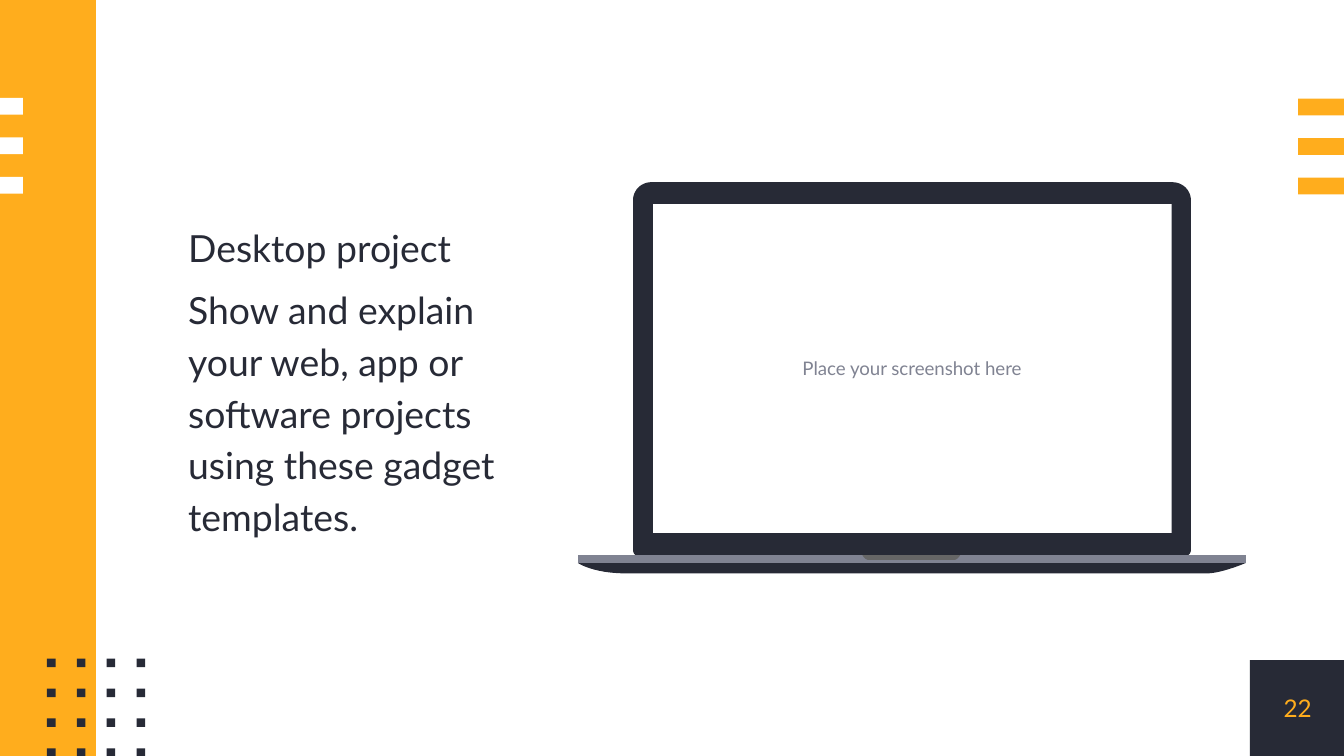
from typing import NamedTuple

from pptx import Presentation
from pptx import util as u
from pptx.dml.color import RGBColor
from pptx.enum import shapes, text

Pt = u.Pt
DARK, AMBER, WHITE, GREY, NOTCH = "272A36", "FFAD1D", "FFFFFF", "808392", "666666"


class Box(NamedTuple):
    x: float
    y: float
    w: float
    h: float


class Grid(NamedTuple):
    first: Box
    cols: int
    rows: int
    step: float
    color: str


class Outline(NamedTuple):
    """Contours of points: 2 numbers end a line, 6 numbers are a Bézier curve."""
    contours: list
    color: str


class Label(NamedTuple):
    box: Box
    lines: list
    size: float
    color: str
    inset: float = 0
    align: text.PP_ALIGN = text.PP_ALIGN.LEFT
    spacing: dict = {}


def rgb(color: str) -> RGBColor:
    return RGBColor.from_string(color)


def paint(sp, color: str) -> None:
    sp.shadow.inherit = False
    sp.fill.solid()
    sp.fill.fore_color.rgb = rgb(color)
    sp.line.fill.background()


def draw_rect(s, box: Box, color: str) -> None:
    sp = s.shapes.add_shape(shapes.MSO_SHAPE.RECTANGLE, *map(Pt, box))
    paint(sp, color)


def draw_grid(s, grid: Grid) -> None:
    x, y, w, h = grid.first
    for row in range(grid.rows):
        for col in range(grid.cols):
            box = Box(x + col * grid.step, y + row * grid.step, w, h)
            draw_rect(s, box, grid.color)


def flatten(contour: list, steps: int = 12) -> list:
    points = []
    for seg in contour:
        if len(seg) == 2:
            points.append(seg)
            continue
        ctrl = [points[-1], seg[:2], seg[2:4], seg[4:]]
        for i in range(1, steps + 1):
            t = i / steps
            weights = ((1 - t) ** 3, 3 * t * (1 - t) ** 2, 3 * t * t * (1 - t), t ** 3)
            points.append(tuple(sum(k * c[axis] for k, c in zip(weights, ctrl))
                                for axis in (0, 1)))
    return [(Pt(x), Pt(y)) for x, y in points]


def draw_outline(s, outline: Outline) -> None:
    first, *others = map(flatten, outline.contours)
    builder = s.shapes.build_freeform(*first[0])
    builder.add_line_segments(first[1:], close=True)
    for points in others:
        builder.move_to(*points[0])
        builder.add_line_segments(points[1:], close=True)
    paint(builder.convert_to_shape(), outline.color)


def draw_label(s, label: Label) -> None:
    tf = s.shapes.add_textbox(*map(Pt, label.box)).text_frame
    frame_format = {"word_wrap": True, "vertical_anchor": text.MSO_ANCHOR.MIDDLE}
    for side in ("left", "top", "right", "bottom"):
        frame_format[f"margin_{side}"] = Pt(label.inset)
    for name, value in frame_format.items():
        setattr(tf, name, value)
    for i, line in enumerate(label.lines):
        p = tf.add_paragraph() if i else tf.paragraphs[0]
        for name, value in {"alignment": label.align, **label.spacing}.items():
            setattr(p, name, value)
        r = p.add_run()
        r.text = line
        for name, value in {"name": "Lato", "size": Pt(label.size)}.items():
            setattr(r.font, name, value)
        r.font.color.rgb = rgb(label.color)


PAGE_CORNER = Box(669.6, 353.6, 51, 51.4)
SIDE_BAR = Box(0, 0, 51.4, 405)

GRIDS = [
    Grid(Box(0, 52.4, 12.3, 9), 1, 3, 21.2, WHITE),
    Grid(Box(25.2, 352.9, 4.6, 4.6), 4, 4, 16, DARK),
    Grid(Box(695.4, 52.8, 24.6, 9), 1, 3, 21.2, AMBER),
]

LAPTOP = [
    # Lid with the screen cut out
    Outline([
        [(628, 97.6), (348.8, 97.6), (343.5, 97.6, 339.1, 102, 339.1, 107.3),
         (339.1, 294.5), (339.1, 296.5, 340.4, 297.8, 342, 297.8), (634.9, 297.8),
         (636.6, 297.8, 638, 296.5, 638, 294.5), (638, 107.3),
         (638, 102, 633.6, 97.6, 628, 97.6)],
        [(627.6, 285.6), (349.8, 285.6), (349.8, 109.3), (627.6, 109.3)],
    ], DARK),
    # Underside, deck and notch
    Outline([[(309.6, 301.6), (309.6, 301.6, 317.5, 307.2, 335.5, 307.2), (646.5, 307.2),
              (654.5, 307.2, 667.5, 301.6, 667.5, 301.6)]], DARK),
    Outline([[(309.6, 301.6), (667.5, 301.6), (667.5, 297.4), (309.6, 297.4)]], GREY),
    Outline([[(462, 297.4), (462, 297.4, 463.4, 300, 465.4, 300), (511, 300),
              (513, 300, 514.4, 297.4, 514.4, 297.4)]], NOTCH),
]

CENTER = text.PP_ALIGN.CENTER
LABELS = [
    Label(Box(349.5, 108.9, 278, 177), ["Place your screenshot here"], 10, GREY, 7.2, CENTER),
    Label(PAGE_CORNER, ["22"], 13, AMBER, align=CENTER),
    Label(Box(100.8, 29.5, 196.6, 346.3),
          ["Desktop project",
           "Show and explain your web, app or software projects using these gadget templates."],
          20, DARK, spacing={"line_spacing": 1.15, "space_before": Pt(6)}),
]


def main() -> None:
    prs = Presentation()
    prs.slide_width, prs.slide_height = Pt(720), Pt(405)
    s = prs.slides.add_slide(prs.slide_layouts[6])

    # Frame decoration
    draw_rect(s, PAGE_CORNER, DARK)
    draw_rect(s, SIDE_BAR, AMBER)
    for grid in GRIDS:
        draw_grid(s, grid)

    # Laptop
    for outline in LAPTOP:
        draw_outline(s, outline)

    # Wording
    for label in LABELS:
        draw_label(s, label)

    prs.save("out.pptx")


if __name__ == "__main__":
    main()
